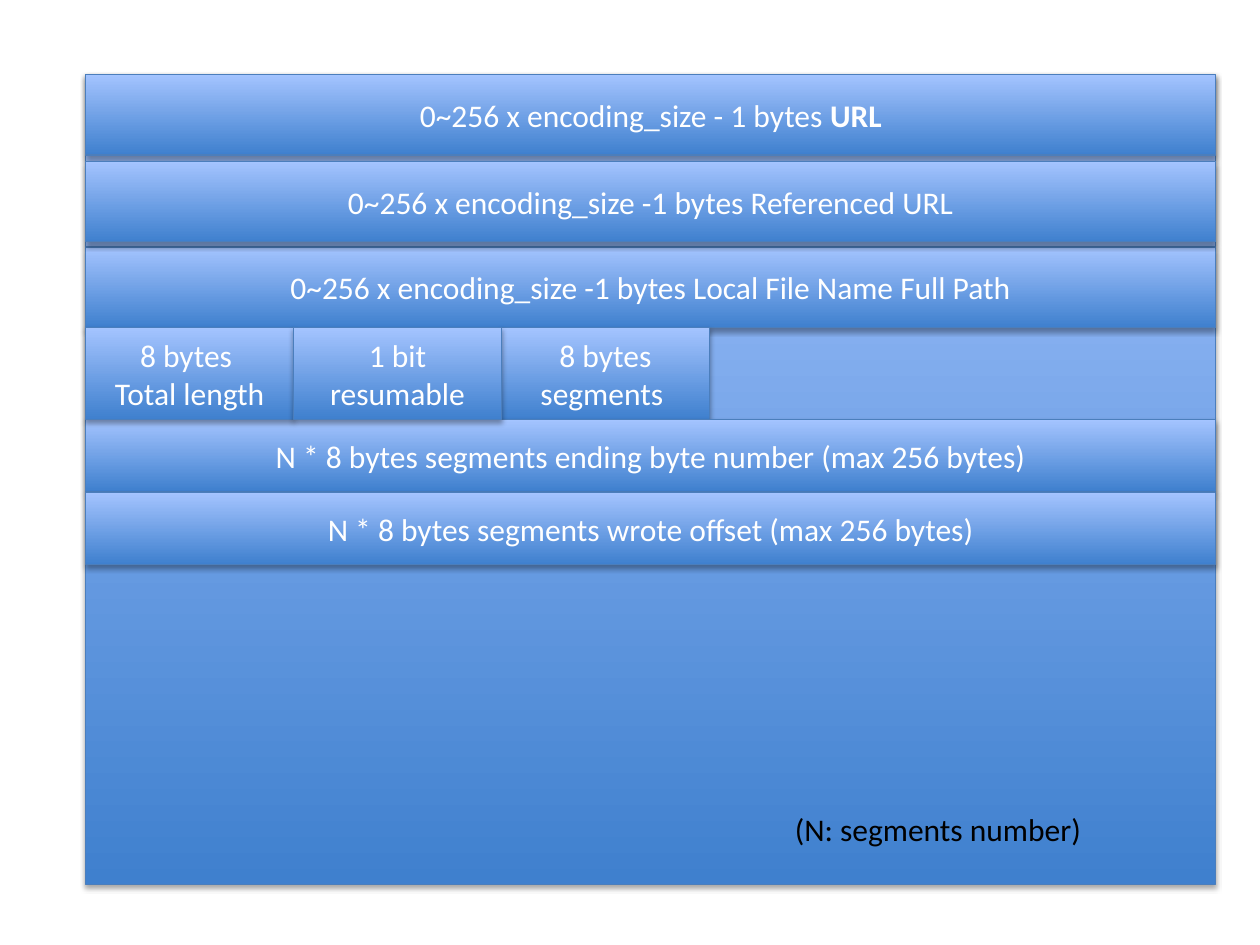
from lxml import etree
from pptx import Presentation
from pptx.dml.color import RGBColor
from pptx.enum.shapes import MSO_SHAPE
from pptx.enum.text import MSO_ANCHOR, MSO_AUTO_SIZE, PP_ALIGN
from pptx.oxml.ns import qn
from pptx.util import Inches, Pt

RECT = MSO_SHAPE.RECTANGLE
MIDDLE = MSO_ANCHOR.MIDDLE
CENTER = PP_ALIGN.CENTER
FIT_SHAPE = MSO_AUTO_SIZE.SHAPE_TO_FIT_TEXT

DARK_BLUE = RGBColor(0x3F, 0x80, 0xCE)
LIGHT_BLUE = RGBColor(0xA4, 0xC4, 0xFF)
LINE_BLUE = RGBColor(0x4B, 0x7E, 0xBC)
WHITE = RGBColor(0xFF, 0xFF, 0xFF)
BLACK = RGBColor(0x00, 0x00, 0x00)


class Diagram:
    font = "Calibri"
    size = Pt(18)

    def __init__(self, slide):
        self.s = slide

    def style_runs(self, p, color):
        for r in p.runs:
            r.font.name = self.font
            r.font.size = self.size
            r.font.color.rgb = color

    def add_shadow(self, sp):
        sp.shadow.inherit = False
        effects = sp._element.spPr.find(qn("a:effectLst"))
        shadow = etree.SubElement(
            effects, qn("a:outerShdw"), blurRad=str(Pt(3.1)),
            dist=str(Pt(1.8)), dir="5400000", rotWithShape="0")
        color = etree.SubElement(shadow, qn("a:srgbClr"), val="000000")
        etree.SubElement(color, qn("a:alpha"), val="35000")

    def box(self, left, top, width, height, lines=(), bold=""):
        """Gradient box; bold is appended to the last line."""
        sp = self.s.shapes.add_shape(
            RECT, Inches(left), Inches(top), Inches(width), Inches(height))
        sp.fill.gradient()
        sp.fill.gradient_angle = 90
        for stop, color in zip(sp.fill.gradient_stops, (DARK_BLUE, LIGHT_BLUE)):
            stop.color.rgb = color
        sp.line.color.rgb = LINE_BLUE
        sp.line.width = Pt(0.75)
        self.add_shadow(sp)

        tf = sp.text_frame
        tf.word_wrap = True
        tf.vertical_anchor = MIDDLE
        tf.text = "\n".join(lines)
        if bold:
            r = tf.paragraphs[-1].add_run()
            r.text = bold
            r.font.bold = True
        for p in tf.paragraphs:
            p.alignment = CENTER
            self.style_runs(p, WHITE)

    def label(self, left, top, width, height, text):
        tf = self.s.shapes.add_textbox(
            Inches(left), Inches(top), Inches(width), Inches(height)).text_frame
        tf.word_wrap = False
        tf.auto_size = FIT_SHAPE
        tf.text = text
        self.style_runs(tf.paragraphs[0], BLACK)


def main():
    prs = Presentation()
    prs.slide_width, prs.slide_height = Inches(10), Inches(7.5)
    d = Diagram(prs.slides.add_slide(prs.slide_layouts[6]))

    left, top, width = 0.68, 0.59, 8.97
    name_h, cell_w, cell_h, segment_h = 0.64, 1.65, 0.73, 0.57
    cell_top = 2.6

    def cell(column, *lines):
        d.box(left + column * cell_w, cell_top, cell_w, cell_h, lines)

    # Whole record
    d.box(left, top, width, 6.43)

    # Names, back to front so that the shadows overlap correctly
    d.box(left, top, width, name_h,
          ["0~256 x encoding_size - 1 bytes "], bold="URL")
    d.box(left, 1.96, width, name_h,
          ["0~256 x encoding_size -1 bytes Local File Name Full Path"])

    # Segment count and segment lists
    cell(2, "8 bytes segments ")
    d.box(left, 3.33, width, segment_h,
          ["N * 8 bytes segments ending byte number (max 256 bytes)"])
    d.box(left, 3.91, width, segment_h,
          ["N * 8 bytes segments wrote offset (max 256 bytes)"])

    # Referenced URL and the remaining fixed-size fields
    d.box(left, 1.28, width, name_h,
          ["0~256 x encoding_size -1 bytes Referenced URL"])
    cell(0, "8 bytes ", "Total length")
    cell(1, "1 bit", "resumable")

    # Legend
    d.label(6.21, 6.38, 2.5, 0.4, "(N: segments number)")

    prs.save("out.pptx")


if __name__ == "__main__":
    main()
